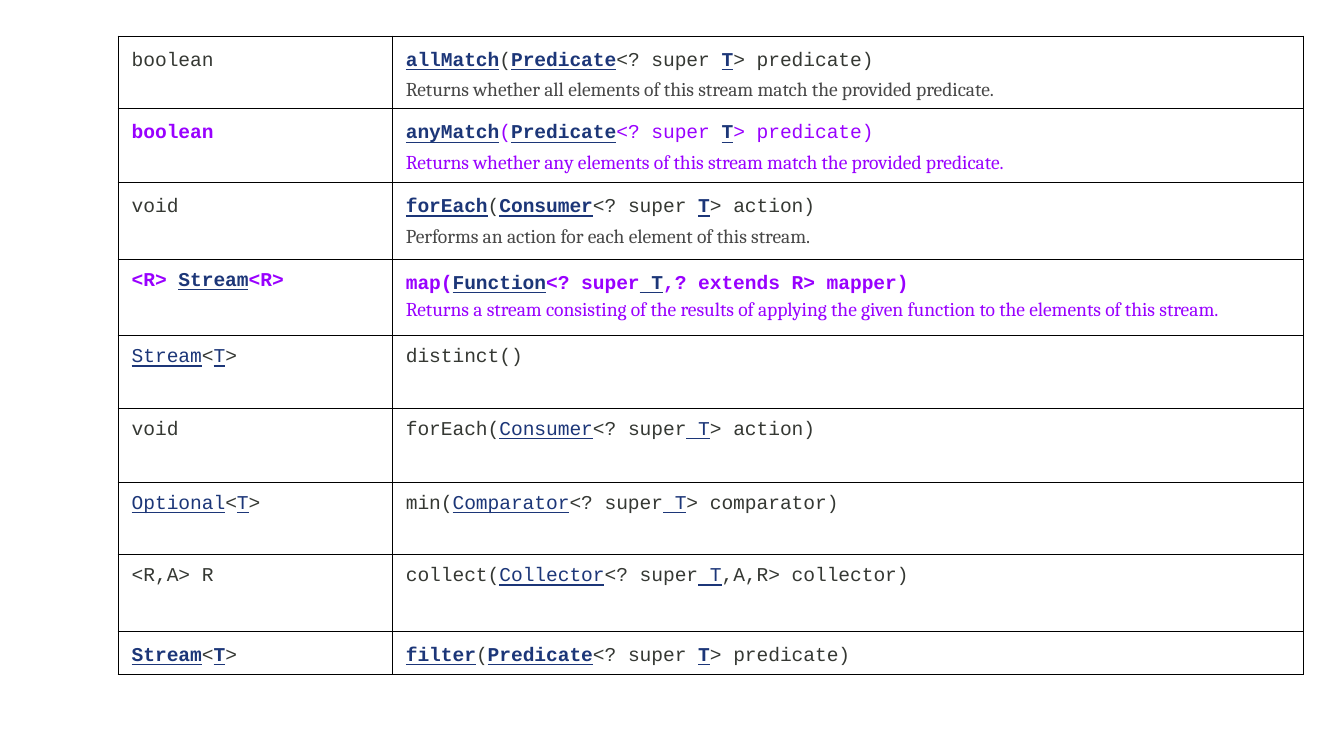
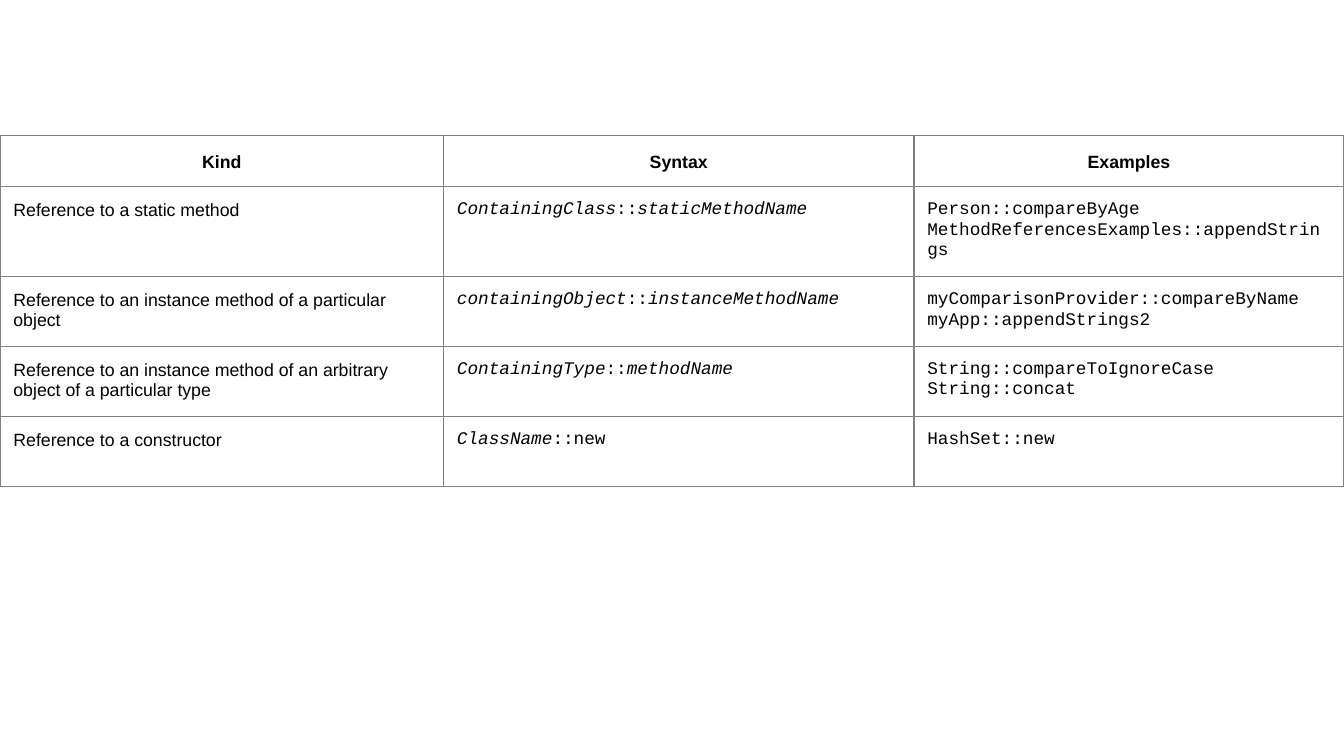
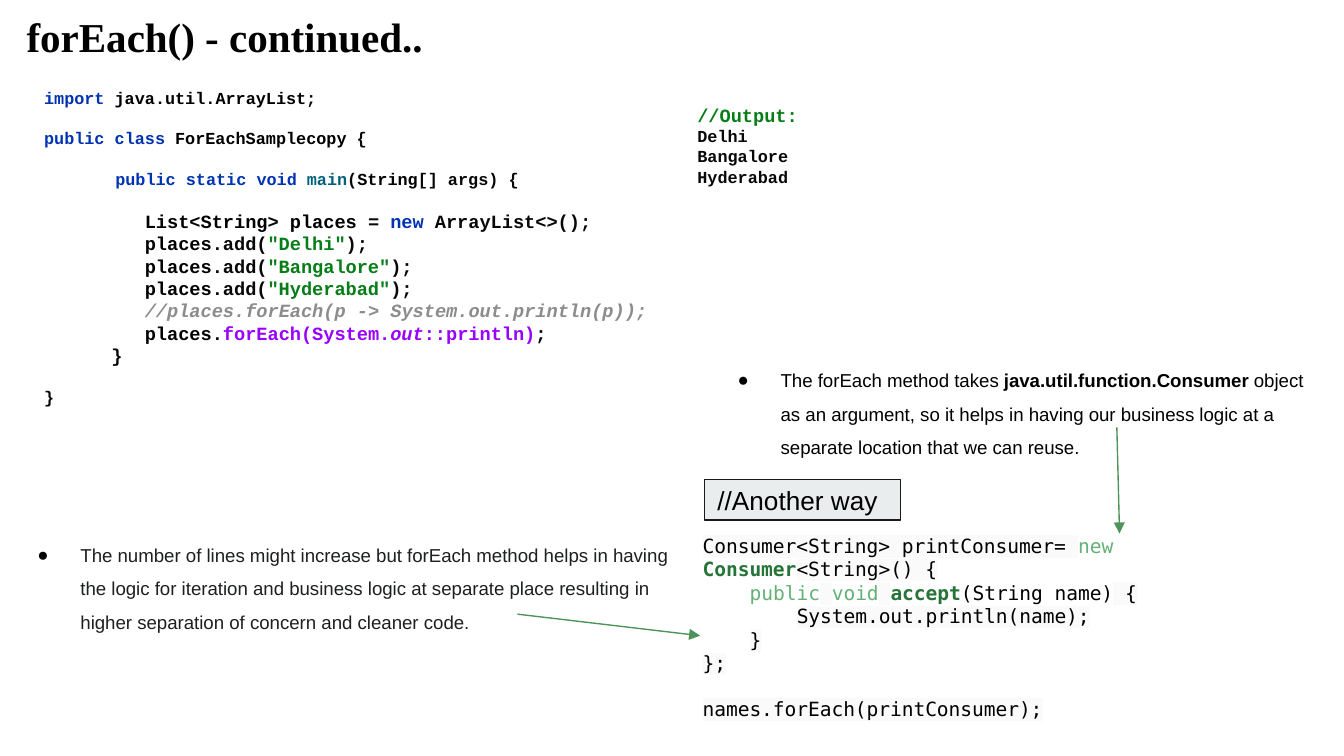
from lxml import etree
from pptx import Presentation
from pptx.dml.color import RGBColor
from pptx.enum import shapes, text
from pptx.oxml.ns import qn
from pptx.util import Inches, Pt

# Slide size, 16:9
WIDTH = Inches(10)
HEIGHT = WIDTH * 9 // 16

# Colours
BLACK = RGBColor(0x00, 0x00, 0x00)
GREY_RULE = RGBColor(0x80, 0x80, 0x80)
INK = RGBColor(0x35, 0x38, 0x33)
DOC_GREY = RGBColor(0x47, 0x47, 0x47)
NAVY = RGBColor(0x1C, 0x36, 0x78)
PURPLE = RGBColor(0x99, 0x00, 0xFF)
KEYWORD_BLUE = RGBColor(0x00, 0x33, 0xB3)
TEAL = RGBColor(0x00, 0x62, 0x7A)
CODE_INK = RGBColor(0x08, 0x08, 0x08)
STRING_GREEN = RGBColor(0x06, 0x7D, 0x17)
COMMENT_GREY = RGBColor(0x8C, 0x8C, 0x8C)
LIGHT_GREEN = RGBColor(0x63, 0xB1, 0x75)
DARK_GREEN = RGBColor(0x26, 0x74, 0x38)
ARROW_GREEN = RGBColor(0x4E, 0x93, 0x59)
NOTE_INK = RGBColor(0x1D, 0x1F, 0x20)
LABEL_FILL = RGBColor(0xE9, 0xED, 0xEE)
LABEL_LINE = RGBColor(0x1A, 0x1A, 0x1A)
CODE_BACK = RGBColor(0xFA, 0xFA, 0xFA)

# Run styles, laid over the base font of each block
STYLES = {
    "base": {},
    "bold": {"bold": True},
    "mono": {"name": "Courier New"},
    "mono italic": {"name": "Courier New", "italic": True},
    "link": {"color": NAVY, "underline": True},
    "LINK": {"color": NAVY, "underline": True, "bold": True},
    "hot": {"color": PURPLE},
    "HOT": {"color": PURPLE, "bold": True},
    "HOT italic": {"color": PURPLE, "italic": True},
    "doc": {"color": DOC_GREY, "name": "Cambria"},
    "hot doc": {"color": PURPLE, "name": "Cambria"},
    "keyword": {"color": KEYWORD_BLUE},
    "name": {"color": BLACK},
    "method": {"color": TEAL},
    "string": {"color": STRING_GREEN},
    "comment": {"color": COMMENT_GREY, "italic": True},
    "back": {"highlight": CODE_BACK},
    "soft": {"color": LIGHT_GREEN},
    "type": {"color": DARK_GREEN, "bold": True},
}

# Paragraph layouts
PLAIN = {}
SIGNATURE = {"line_spacing": 1.15}
DOC = {"line_spacing": 1.15, "space_before": Pt(2), "space_after": Pt(2)}
HEADER = {"line_spacing": 1.15, "alignment": text.PP_ALIGN.CENTER}
BULLET = {"line_spacing": 1.5, "indent": (0.5, -0.32), "bullet": "●"}
GAP = {"space_before": Pt(11)}
MAIN = {**GAP, "indent": (0.53, 0)}
BODY = {"indent": (0.75, 0), "font": {"size": Pt(10)}}
FIRST_BODY = {**GAP, **BODY}
BODY_END = {**BODY, "indent": (0.5, 0)}
STEP_1 = {"indent": (0.35, 0)}
STEP_2 = {"indent": (0.7, 0)}

# Slide 1: stream methods; a cell is a list of (layout, runs)
SUPER_T = [("base", "<? super "), ("LINK", "T")]
SUPER_T_LIGHT = [("base", "<? super"), ("link", " T")]
METHODS = {
    "at": (0.88, 0.27),
    "cols": [2.04, 6.78],
    "rows": [0.54, 0.55, 0.57, 0.57, 0.54, 0.55, 0.54, 0.57, 0.32],
    "border": BLACK,
    "insets": (0.1, 0.08, 0.1, 0.03),
    "font": {"name": "Courier New", "size": Pt(10.5), "color": INK},
    "cells": [
        [[(SIGNATURE, [("base", "boolean")])],
         [(SIGNATURE, [("LINK", "allMatch"), ("base", "("), ("LINK", "Predicate"),
                       *SUPER_T, ("base", "> predicate)")]),
          (DOC, [("doc", "Returns whether all elements of this stream match the provided predicate.")])]],
        [[(SIGNATURE, [("HOT", "boolean")])],
         [(SIGNATURE, [("LINK", "anyMatch"), ("hot", "("), ("LINK", "Predicate"),
                       ("hot", "<? super "), ("LINK", "T"), ("hot", "> predicate)")]),
          (DOC, [("hot doc", "Returns whether any elements of this stream match the provided predicate.")])]],
        [[(SIGNATURE, [("base", "void")])],
         [(SIGNATURE, [("LINK", "forEach"), ("base", "("), ("LINK", "Consumer"),
                       *SUPER_T, ("base", "> action)")]),
          (DOC, [("doc", "Performs an action for each element of this stream.")])]],
        [[(PLAIN, [("HOT", "<R> "), ("LINK", "Stream"), ("HOT", "<R>")])],
         [(SIGNATURE, [("HOT", "map("), ("LINK", "Function"), ("HOT", "<? super"),
                       ("LINK", " T"), ("HOT", ",? extends R> mapper)")]),
          (SIGNATURE, [("hot doc", "Returns a stream consisting of the results of applying "
                                   "the given function to the elements of this stream.")])]],
        [[(PLAIN, [("link", "Stream"), ("base", "<"), ("link", "T"), ("base", ">")])],
         [(PLAIN, [("base", "distinct()")])]],
        [[(PLAIN, [("base", "void")])],
         [(PLAIN, [("base", "forEach("), ("link", "Consumer"), *SUPER_T_LIGHT,
                   ("base", "> action)")])]],
        [[(PLAIN, [("link", "Optional"), ("base", "<"), ("link", "T"), ("base", ">")])],
         [(PLAIN, [("base", "min("), ("link", "Comparator"), *SUPER_T_LIGHT,
                   ("base", "> comparator)")])]],
        [[(PLAIN, [("base", "<R,A> R")])],
         [(PLAIN, [("base", "collect("), ("link", "Collector"), *SUPER_T_LIGHT,
                   ("base", ",A,R> collector)")])]],
        [[(SIGNATURE, [("LINK", "Stream"), ("base", "<"), ("LINK", "T"), ("base", ">")])],
         [(SIGNATURE, [("LINK", "filter"), ("base", "("), ("LINK", "Predicate"),
                       *SUPER_T, ("base", "> predicate)")])]],
    ],
}

# Slide 2: method references as (kind, syntax runs, examples)
REFERENCES = [
    ("Reference to a static method",
     [("mono italic", "ContainingClass"), ("mono", "::"), ("mono italic", "staticMethodName")],
     ["Person::compareByAge", "MethodReferencesExamples::appendStrings"]),
    ("Reference to an instance method of a particular object",
     [("mono italic", "containingObject"), ("mono", "::"), ("mono italic", "instanceMethodName")],
     ["myComparisonProvider::compareByName", "myApp::appendStrings2"]),
    ("Reference to an instance method of an arbitrary object of a particular type",
     [("mono italic", "ContainingType"), ("mono", "::"), ("mono italic", "methodName")],
     ["String::compareToIgnoreCase", "String::concat"]),
    ("Reference to a constructor",
     [("mono italic", "ClassName"), ("mono", "::new")],
     ["HashSet::new"]),
]
REFERENCE_TABLE = {
    "at": (0, 1.01),
    "cols": [3.3, 3.5, 3.2],
    "rows": [0.38, 0.67, 0.52, 0.52, 0.52],
    "border": GREY_RULE,
    "insets": (0.1, 0.1, 0.1, 0.1),
    "font": {"name": "Arial", "size": Pt(9.5), "color": BLACK},
    "cells": [[[(HEADER, [("bold", head)])] for head in ("Kind", "Syntax", "Examples")]] + [
        [[(PLAIN, [("base", kind)])],
         [(PLAIN, syntax)],
         [(PLAIN, [("mono", example)]) for example in examples]]
        for kind, syntax, examples in REFERENCES
    ],
}

# Slide 3: text blocks as (box, base font, anchor, paragraphs)
TOP, BOTTOM = text.MSO_ANCHOR.TOP, text.MSO_ANCHOR.BOTTOM
JAVA = {"name": "Courier New", "size": Pt(9), "bold": True, "color": CODE_INK}
NOTE = {"name": "Arial", "size": Pt(10), "color": BLACK}
PLACES = ["Delhi", "Bangalore", "Hyderabad"]
BLOCKS = [
    ((0.1, 0.05, 9.43, 0.5),
     {"name": "Times New Roman", "size": Pt(22), "bold": True, "color": BLACK}, BOTTOM,
     [(PLAIN, [("base", "forEach() - continued..")])]),
    ((0.23, 0.55, 4.86, 3.31), JAVA, TOP, [
        (PLAIN, [("keyword", "import "), ("name", "java.util.ArrayList"), ("base", ";")]),
        (GAP, [("keyword", "public class "), ("name", "ForEachSamplecopy "), ("base", "{")]),
        (MAIN, [("keyword", "public static void "), ("method", "main"), ("base", "("),
                ("name", "String"), ("base", "[] args) {")]),
        (FIRST_BODY, [("name", "List"), ("base", "<"), ("name", "String"), ("base", "> "),
                      ("name", "places "), ("base", "= "), ("keyword", "new "),
                      ("base", "ArrayList<>();")]),
        *[(BODY, [("name", "places"), ("base", ".add("), ("string", f'"{place}"'), ("base", ");")])
          for place in PLACES],
        (BODY, [("comment", "//places.forEach(p -> System.out.println(p));")]),
        (BODY, [("name", "places"), ("base", "."), ("HOT", "forEach(System."),
                ("HOT italic", "out"), ("HOT", "::println)"), ("base", ";")]),
        (BODY_END, [("base", "}")]),
        (GAP, [("base", "}")]),
    ]),
    ((5.13, 3.87, 4.65, 1.62),
     {"name": "DejaVu Sans Mono", "size": Pt(10.5), "color": BLACK}, TOP, [
        (PLAIN, [("back", "Consumer<String> printConsumer= "), ("soft", "new"), ("back", " "),
                 ("type", "Consumer"), ("back", "<String>() {")]),
        (STEP_1, [("soft", "public"), ("back", " "), ("soft", "void"), ("back", " "),
                  ("type", "accept"), ("base", "(String name)"), ("back", " {")]),
        (STEP_2, [("back", "System.out.println(name);")]),
        (STEP_1, [("back", "}")]),
        (PLAIN, [("back", "};")]),
        ({"space_before": Pt(12)}, [("back", "names.forEach(printConsumer);")]),
    ]),
    ((5.21, 2.56, 4.65, 0.88), NOTE, TOP,
     [(BULLET, [("base", "The forEach method takes "), ("bold", "java.util.function.Consumer"),
                ("base", " object as an argument, so it helps in having our business logic "
                         "at a separate location that we can reuse.")])]),
    ((0, 3.86, 5.09, 0.88), {**NOTE, "color": NOTE_INK}, TOP,
     [(BULLET, [("base", "The number of lines might increase but forEach method helps in having "
                         "the logic for iteration and business logic at separate place resulting "
                         "in higher separation of concern and cleaner code.")])]),
    ((5.09, 0.67, 3.28, 0.82), JAVA, TOP,
     [({"font": {"size": Pt(10)}}, [("string", "//Output:")])]
     + [(PLAIN, [("base", place)]) for place in PLACES]),
]
LABEL = ((5.24, 3.57, 1.46, 0.3), "//Another way")
ARROWS = [(8.31, 3.18, 8.33, 3.97), (3.85, 4.57, 5.21, 4.73)]


def add_color(parent, tag, rgb):
    holder = etree.SubElement(parent, qn(tag))
    etree.SubElement(holder, qn("a:srgbClr"), val=str(rgb))
    return holder


def format_run(run, values):
    for key, value in values.items():
        if key == "color":
            run.font.color.rgb = value
        elif key != "highlight":
            setattr(run.font, key, value)
    if "highlight" in values:
        props = run.font._element
        props.find(qn("a:solidFill")).addnext(add_color(props, "a:highlight", values["highlight"]))


def format_paragraph(paragraph, layout):
    props = paragraph._p.get_or_add_pPr()
    for key, value in layout.items():
        if key == "indent":
            for side, length in zip(("marL", "indent"), value):
                props.set(side, str(Inches(length)))
        elif key == "bullet":
            add_color(props, "a:buClr", BLACK)
            etree.SubElement(props, qn("a:buFont"), typeface="Arial")
            etree.SubElement(props, qn("a:buChar"), char=value)
        elif key != "font":
            setattr(paragraph, key, value)


def write(frame, paragraphs, font):
    for index, (layout, runs) in enumerate(paragraphs):
        paragraph = frame.add_paragraph() if index else frame.paragraphs[0]
        format_paragraph(paragraph, {"alignment": text.PP_ALIGN.LEFT, **layout})
        for style, words in runs:
            run = paragraph.add_run()
            run.text = words
            format_run(run, {**font, **layout.get("font", {}), **STYLES[style]})


def set_insets(target, insets):
    for side, inset in zip(("left", "top", "right", "bottom"), insets):
        setattr(target, f"margin_{side}", Inches(inset))


def prepare_frame(frame, anchor):
    frame.word_wrap = True
    frame.vertical_anchor = anchor
    set_insets(frame, (0.1,) * 4)


def set_borders(cell, rgb):
    props = cell._tc.get_or_add_tcPr()
    for index, side in enumerate("LRTB"):
        line = etree.Element(qn(f"a:ln{side}"), w=str(Pt(0.75)))
        add_color(line, "a:solidFill", rgb)
        props.insert(index, line)


def add_grid(slide, grid):
    cols, rows = grid["cols"], grid["rows"]
    box = [Inches(v) for v in (*grid["at"], sum(cols), sum(rows))]
    table = slide.shapes.add_table(len(rows), len(cols), *box).table
    table.first_row = table.horz_banding = False
    for column, width in zip(table.columns, cols):
        column.width = Inches(width)
    for row, height, contents in zip(table.rows, rows, grid["cells"]):
        row.height = Inches(height)
        for cell, paragraphs in zip(row.cells, contents):
            cell.fill.background()
            set_borders(cell, grid["border"])
            set_insets(cell, grid["insets"])
            write(cell.text_frame, paragraphs, grid["font"])


def add_block(slide, box, font, anchor, paragraphs):
    frame = slide.shapes.add_textbox(*map(Inches, box)).text_frame
    prepare_frame(frame, anchor)
    write(frame, paragraphs, font)


def add_label(slide, box, words):
    label = slide.shapes.add_shape(shapes.MSO_SHAPE.RECTANGLE, *map(Inches, box))
    label.shadow.inherit = False
    label.fill.solid()
    label.fill.fore_color.rgb = LABEL_FILL
    label.line.color.rgb = LABEL_LINE
    label.line.width = Pt(0.75)
    prepare_frame(label.text_frame, text.MSO_ANCHOR.MIDDLE)
    write(label.text_frame, [(PLAIN, [("base", words)])], {**NOTE, "size": Pt(14)})


def add_arrow(slide, ends):
    arrow = slide.shapes.add_connector(shapes.MSO_CONNECTOR.STRAIGHT, *map(Inches, ends))
    arrow.line.color.rgb = ARROW_GREEN
    arrow.line.width = Pt(0.75)
    etree.SubElement(arrow.line._get_or_add_ln(), qn("a:tailEnd"), type="triangle")
    etree.SubElement(arrow._element.spPr, qn("a:effectLst"))


def main():
    deck = Presentation()
    deck.slide_width, deck.slide_height = WIDTH, HEIGHT
    methods, references, for_each = [deck.slides.add_slide(deck.slide_layouts[6]) for _ in range(3)]

    # Tables
    add_grid(methods, METHODS)
    add_grid(references, REFERENCE_TABLE)

    # Code and notes
    for block in BLOCKS:
        add_block(for_each, *block)
    add_label(for_each, *LABEL)
    for ends in ARROWS:
        add_arrow(for_each, ends)
    deck.save("out.pptx")


if __name__ == "__main__":
    main()
